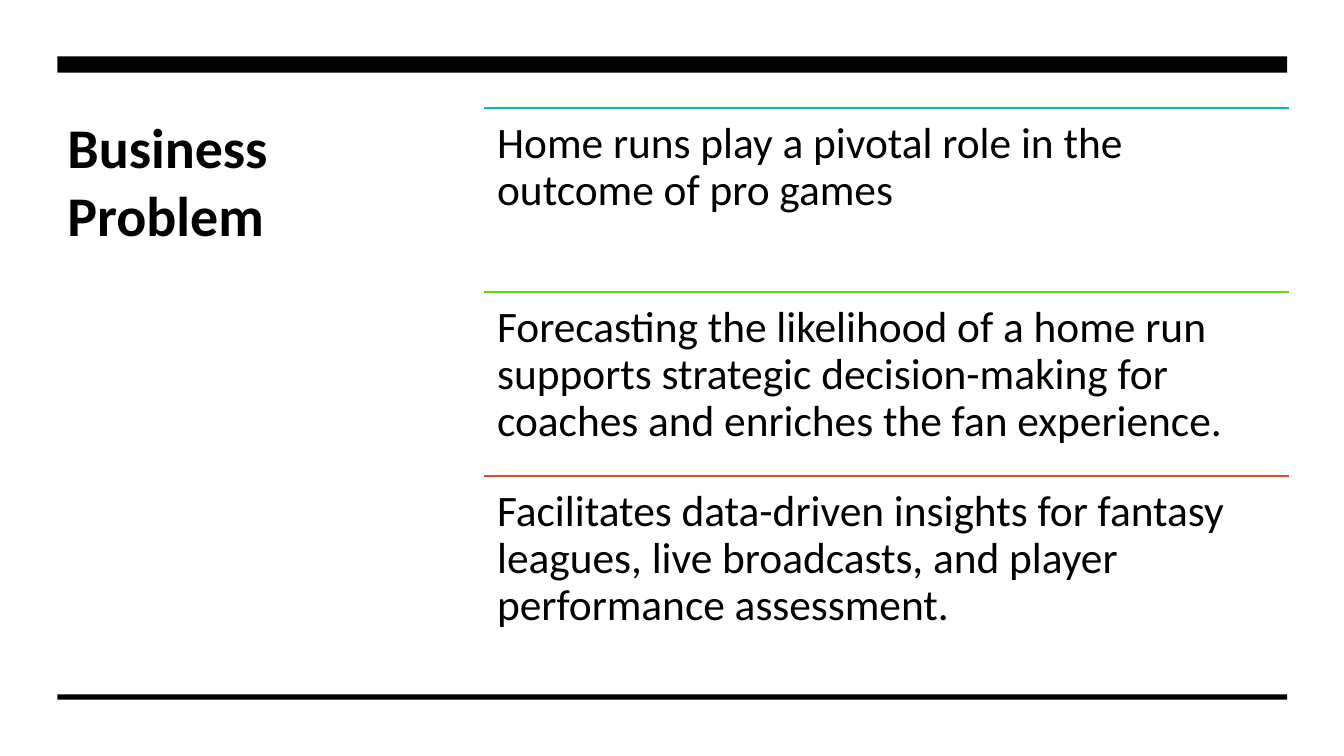
from pptx import Presentation
from pptx.dml.color import RGBColor
from pptx.enum.shapes import MSO_CONNECTOR as LINE, MSO_SHAPE as SHAPE
from pptx.util import Cm, Pt
from pptx.oxml.ns import qn
from lxml import etree

BLACK = RGBColor(0x00, 0x00, 0x00)
WHITE = RGBColor(0xFF, 0xFF, 0xFF)
TEAL = RGBColor(0x00, 0xBA, 0xC8)
GREEN = RGBColor(0x59, 0xDD, 0x0C)
RED = RGBColor(0xE6, 0x48, 0x23)

deck = Presentation()
deck.slide_width, deck.slide_height = Cm(33.87), Cm(19.05)
slide = deck.slides.add_slide(deck.slide_layouts[6])
slide.background.fill.solid()
slide.background.fill.fore_color.rgb = WHITE
shapes = slide.shapes


def add_text(left, top, width, height, text, size):
    box = shapes.add_textbox(Cm(left), Cm(top), Cm(width), Cm(height))
    frame = box.text_frame
    frame.word_wrap = True
    para = frame.paragraphs[0]
    para.text = text
    para.font.name = "Calibri"
    para.font.size = Pt(size)
    para.font.color.rgb = BLACK
    return frame


# Title
title = add_text(1.45, 2.72, 8.76, 11.3, "Business Problem", 40)
title.paragraphs[0].font.bold = True

# Bars at top and bottom
for top, height in [(1.42, 0.41), (17.5, 0.13)]:
    bar = shapes.add_shape(SHAPE.RECTANGLE, Cm(1.45), Cm(top), Cm(30.99), Cm(height))
    bar.shadow.inherit = False
    bar.fill.solid()
    bar.fill.fore_color.rgb = BLACK
    bar.line.fill.background()

# Points, each under a coloured rule
points = [
    (TEAL, "Home runs play a pivotal role in the outcome of pro games"),
    (GREEN, "Forecasting the likelihood of a home run supports strategic "
            "decision-making for coaches and enriches the fan experience."),
    (RED, "Facilitates data-driven insights for fantasy leagues, live "
          "broadcasts, and player performance assessment."),
]
left, width, step = 12.2, 20.29, 4.64
for i, (color, text) in enumerate(points):
    top = 2.72 + i * step
    rule = shapes.add_connector(LINE.STRAIGHT, Cm(left), Cm(top), Cm(left + width), Cm(top))
    rule.line.color.rgb = color
    rule.line.width = Pt(1.5)
    etree.SubElement(rule._element.spPr, qn("a:effectLst"))

    frame = add_text(left, top, width, step, text, 31)
    frame.margin_left = frame.margin_right = Cm(0.33)
    frame.margin_top = frame.margin_bottom = Cm(0.33)
    frame.paragraphs[0].line_spacing = 0.9

deck.save("out.pptx")
